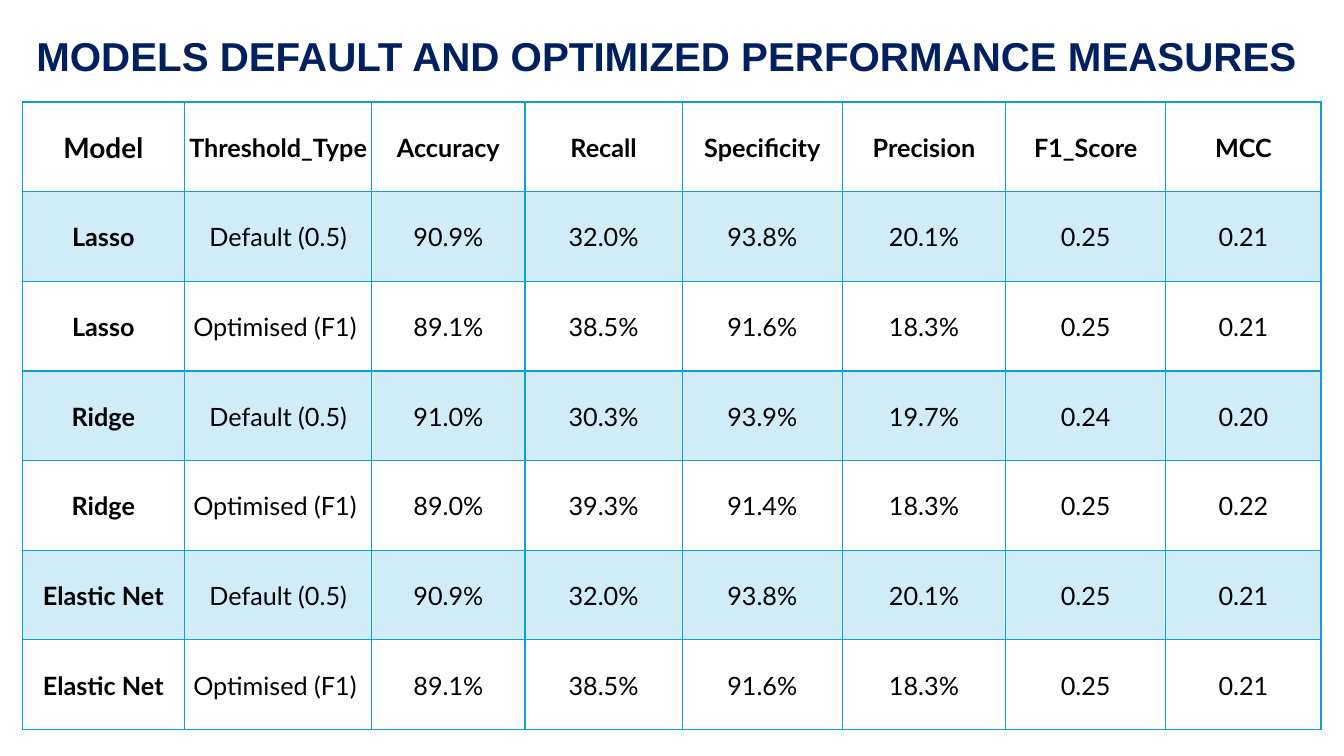
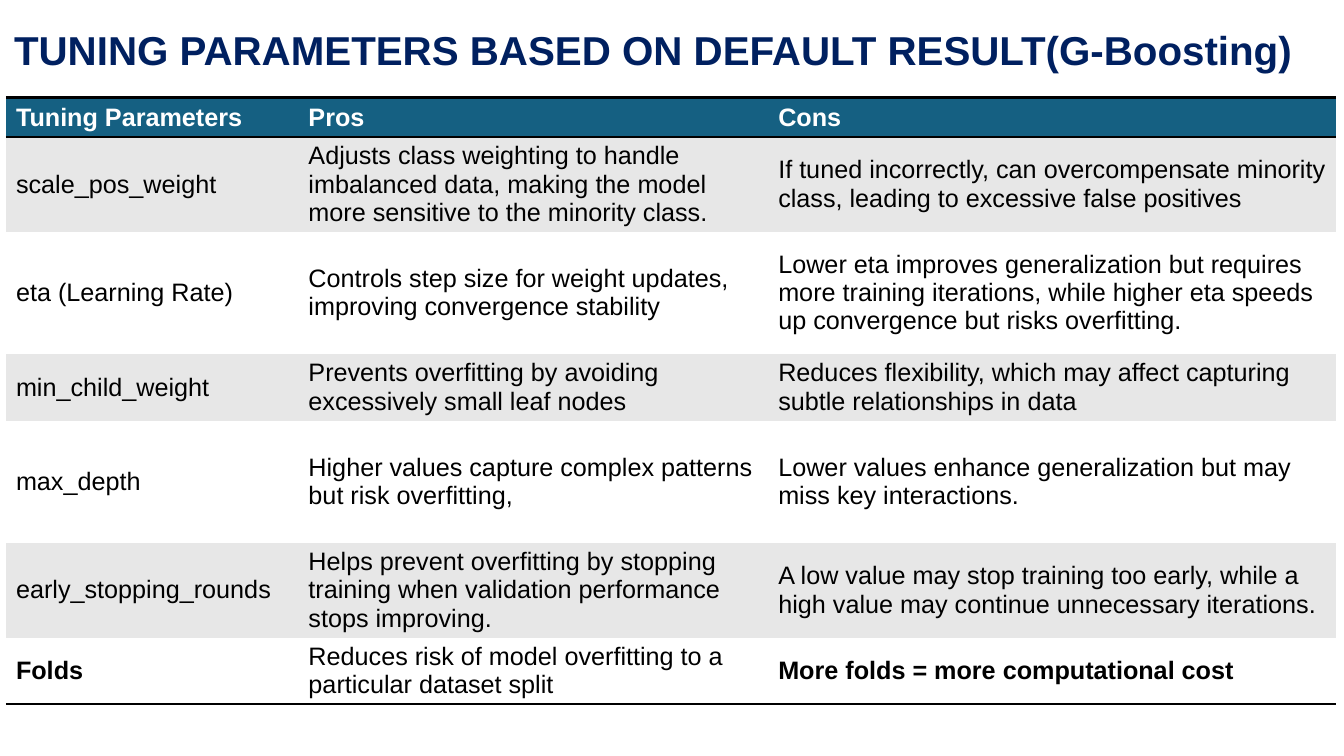
from lxml import etree
from pptx import Presentation
from pptx.dml.color import RGBColor
from pptx.enum import text
from pptx.oxml import ns
from pptx.util import Cm, Pt

COLORS = {
    "title": "002060",
    "text": "000000",
    "white": "FFFFFF",
    "grid": "0F9ED5",
    "blue_band": "CFECF7",
    "header": "156082",
    "gray_band": "E7E7E7",
    "rule": "000000",
}

MEASURES_TITLE = "MODELS DEFAULT AND OPTIMIZED PERFORMANCE MEASURES"
MEASURES = [
    ("Model", "Threshold_Type", "Accuracy", "Recall", "Specificity", "Precision", "F1_Score", "MCC"),
    ("Lasso", "Default (0.5)", "90.9%", "32.0%", "93.8%", "20.1%", "0.25", "0.21"),
    ("Lasso", "Optimised (F1) ", "89.1%", "38.5%", "91.6%", "18.3%", "0.25", "0.21"),
    ("Ridge", "Default (0.5)", "91.0%", "30.3%", "93.9%", "19.7%", "0.24", "0.20"),
    ("Ridge", "Optimised (F1) ", "89.0%", "39.3%", "91.4%", "18.3%", "0.25", "0.22"),
    ("Elastic Net", "Default (0.5)", "90.9%", "32.0%", "93.8%", "20.1%", "0.25", "0.21"),
    ("Elastic Net", "Optimised (F1) ", "89.1%", "38.5%", "91.6%", "18.3%", "0.25", "0.21"),
]
MEASURE_WIDTHS = [4.09, 4.72, 3.86, 3.96, 4.04, 4.11, 4.04, 3.91]
MEASURE_HEIGHTS = [2.26] * len(MEASURES)

TUNING_TITLE = "TUNING PARAMETERS BASED ON DEFAULT RESULT(G-Boosting)"
TUNING = [
    ("Tuning Parameters", "Pros", "Cons"),
    ("scale_pos_weight",
     "Adjusts class weighting to handle imbalanced data, making the model more sensitive to the minority class.",
     "If tuned incorrectly, can overcompensate minority class, leading to excessive false positives"),
    ("eta (Learning Rate)",
     "Controls step size for weight updates, improving convergence stability",
     "Lower eta improves generalization but requires more training iterations, "
     "while higher eta speeds up convergence but risks overfitting."),
    ("min_child_weight",
     "Prevents overfitting by avoiding excessively small leaf nodes",
     "Reduces flexibility, which may affect capturing subtle relationships in data"),
    ("max_depth",
     "Higher values capture complex patterns but risk overfitting,",
     "Lower values enhance generalization but may miss key interactions."),
    ("early_stopping_rounds",
     "Helps prevent overfitting by stopping training when validation performance stops improving.",
     "A low value may stop training too early, while a high value may continue unnecessary iterations."),
    ("Folds",
     "Reduces risk of model overfitting to a particular dataset split",
     "More folds = more computational cost"),
]
TUNING_WIDTHS = [7.37, 11.84, 14.3]
TUNING_HEIGHTS = [0.99, 2.37, 3.07, 1.7, 3.07, 2.38, 1.67]


def write_text(frame, words, size=18, font="Arial", color="text", bold=False,
               align=text.PP_ALIGN.LEFT, line_spacing=1.0):
    paragraph = frame.paragraphs[0]
    paragraph.alignment = align
    paragraph.line_spacing = line_spacing
    run = paragraph.add_run()
    run.text = words
    run.font.size = Pt(size)
    run.font.name = font
    run.font.bold = bold
    run.font.color.rgb = RGBColor.from_string(COLORS[color])


def add_titled_slide(presentation, title, box, align):
    slide = presentation.slides.add_slide(presentation.slide_layouts[5])
    shape = slide.shapes.title
    shape.left, shape.top, shape.width, shape.height = (Cm(length) for length in box)
    frame = shape.text_frame
    frame.word_wrap = True
    frame.auto_size = text.MSO_AUTO_SIZE.NONE
    frame.vertical_anchor = text.MSO_ANCHOR.MIDDLE
    write_text(frame, title, size=28.8, color="title", bold=True, align=align, line_spacing=0.9)
    return slide


def add_plain_table(slide, left, top, widths, heights):
    """Add a table without banding, with the given column widths and row heights in cm."""
    table = slide.shapes.add_table(
        len(heights), len(widths), Cm(left), Cm(top), Cm(sum(widths)), Cm(sum(heights))).table
    table.first_row = table.horz_banding = False
    for column, width in zip(table.columns, widths):
        column.width = Cm(width)
    for row, height in zip(table.rows, heights):
        row.height = Cm(height)
    return table


def format_cell(cell, fill, borders):
    """Fill a cell and draw its borders, given as {side: (color, points)}."""
    properties = cell._tc.get_or_add_tcPr()
    for side in "LRTB":
        line = etree.SubElement(properties, ns.qn(f"a:ln{side}"))
        if side in borders:
            color, points = borders[side]
            line.set("w", str(Pt(points)))
            solid = etree.SubElement(line, ns.qn("a:solidFill"))
            etree.SubElement(solid, ns.qn("a:srgbClr"), val=COLORS[color])
        else:
            etree.SubElement(line, ns.qn("a:noFill"))
    cell.fill.solid()
    cell.fill.fore_color.rgb = RGBColor.from_string(COLORS[fill])
    cell.vertical_anchor = text.MSO_ANCHOR.MIDDLE


def build_measures(presentation):
    slide = add_titled_slide(presentation, MEASURES_TITLE, (0.28, 0.38, 33.05, 2.21),
                             text.PP_ALIGN.CENTER)
    table = add_plain_table(slide, 0.56, 2.57, MEASURE_WIDTHS, MEASURE_HEIGHTS)
    grid = {side: ("grid", 1) for side in "LRTB"}
    for r, row in enumerate(MEASURES):
        for c, words in enumerate(row):
            cell = table.cell(r, c)
            format_cell(cell, "blue_band" if r % 2 else "white", grid)
            cell.margin_left = cell.margin_right = cell.margin_top = Cm(0.03)
            cell.margin_bottom = 0
            write_text(cell.text_frame, words, size=20 if r == c == 0 else 18, font="Lato",
                       bold=r == 0 or c == 0, align=text.PP_ALIGN.CENTER)


def build_tuning(presentation):
    slide = add_titled_slide(presentation, TUNING_TITLE, (0.1, 0.2, 33.5, 2.26),
                             text.PP_ALIGN.LEFT)
    table = add_plain_table(slide, 0.15, 2.46, TUNING_WIDTHS, TUNING_HEIGHTS)
    rule = ("rule", 2)
    last = len(TUNING) - 1
    row_borders = {0: {"T": rule, "B": rule}, 1: {"T": rule}, last: {"B": rule}}
    for r, row in enumerate(TUNING):
        fill = "header" if r == 0 else "gray_band" if r % 2 else "white"
        for c, words in enumerate(row):
            cell = table.cell(r, c)
            format_cell(cell, fill, row_borders.get(r, {}))
            write_text(cell.text_frame, words, color="white" if r == 0 else "text",
                       bold=r == 0 or (r == last and c != 1))


def main():
    presentation = Presentation()
    presentation.slide_width, presentation.slide_height = Cm(33.87), Cm(19.05)
    build_measures(presentation)
    build_tuning(presentation)
    presentation.save("out.pptx")


if __name__ == "__main__":
    main()
